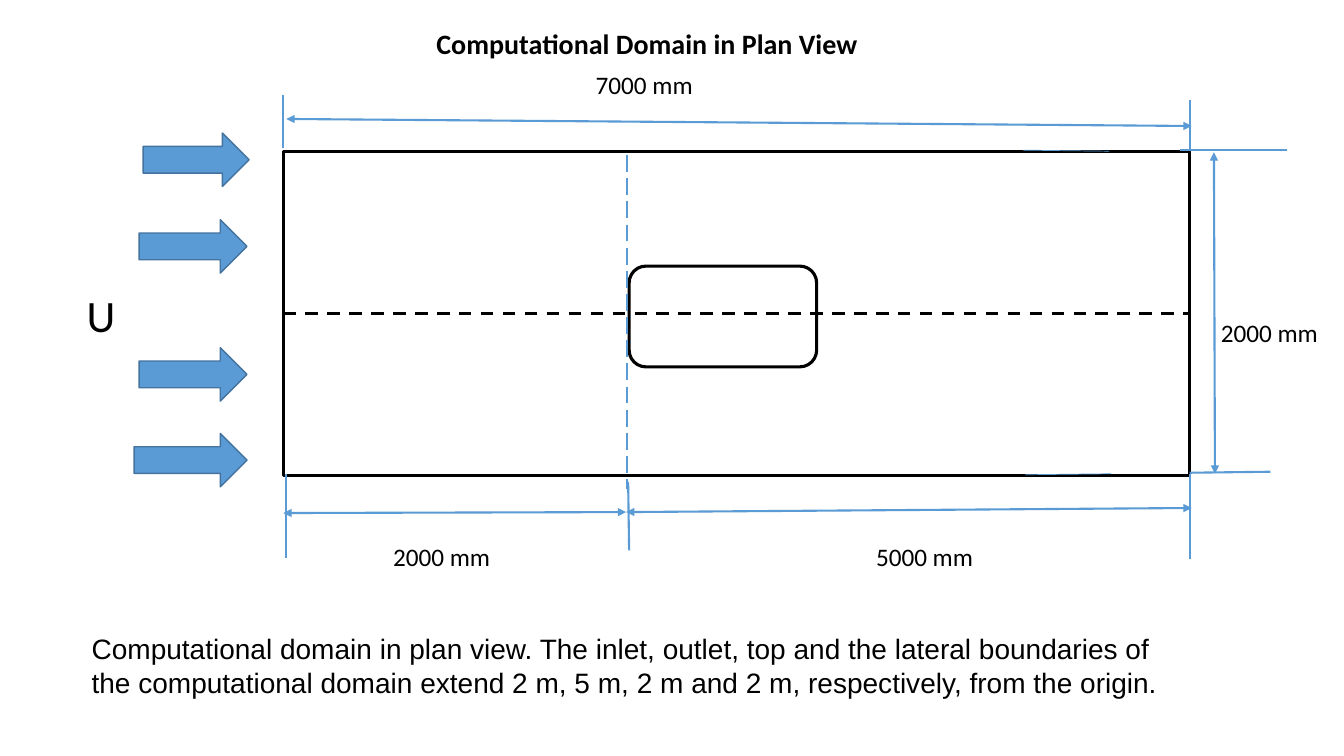
from lxml.etree import SubElement
from pptx import Presentation
from pptx.dml.color import RGBColor
from pptx.enum.dml import MSO_LINE_DASH_STYLE as Dash
from pptx.enum.shapes import MSO_CONNECTOR as Connector, MSO_SHAPE as Preset
from pptx.oxml.ns import qn
from pptx.util import Inches, Pt

COLORS = {"ink": "000000", "paper": "FFFFFF", "blue": "5B9BD5", "edge": "43739E"}

FLOW_ARROWS = [(1.42, 1.32, 1.05), (1.38, 2.18, 1.07), (1.38, 3.45, 1.07), (1.33, 4.3, 1.12)]
DIMENSIONS = [
    (2.81, 5.09, 6.21, 5.08),
    (6.21, 5.08, 11.82, 5.04),
    (12.04, 1.51, 12.05, 4.7),
    (2.84, 1.18, 11.82, 1.25),
]
EXTENSIONS = [
    (2.84, 4.7, 2.84, 5.54),
    (11.8, 4.7, 11.8, 5.55),
    (6.23, 4.78, 6.24, 5.46),
    (2.81, 1.47, 2.81, 0.94),
    (11.8, 1.5, 11.8, 0.99),
    (11.7, 1.49, 12.76, 1.49),
    (11.8, 4.69, 12.6, 4.68),
]
WALL_MARKS = [(10.15, 1.49, 11, 1.5), (10.17, 4.71, 11.02, 4.7)]
LABELS = [
    ("2000 mm", 3.8, 5.32, 1.19),
    ("5000 mm", 8.59, 5.32, 1.19),
    ("2000 mm", 12.01, 3.1, 1.19),
    ("7000 mm", 5.81, 0.64, 1.91),
]
CAPTION = (
    "Computational domain in plan view. The inlet, outlet, top and the lateral boundaries of "
    "the computational domain extend 2 m, 5 m, 2 m and 2 m, respectively, from the origin."
)


def color(name):
    return RGBColor.from_string(COLORS[name])


def add_outline(page, preset, left, top, width, height, fill, line, weight):
    shape = page.shapes.add_shape(preset, Inches(left), Inches(top), Inches(width), Inches(height))
    shape.shadow.inherit = False
    if fill:
        shape.fill.solid()
        shape.fill.fore_color.rgb = color(fill)
    else:
        shape.fill.background()
    shape.line.color.rgb = color(line)
    shape.line.width = Pt(weight)
    return shape


def add_line(page, ends, line="blue", weight=1.5, dash=None, arrows=False):
    connector = page.shapes.add_connector(Connector.STRAIGHT, *[Inches(end) for end in ends])
    connector.line.color.rgb = color(line)
    connector.line.width = Pt(weight)
    if dash:
        connector.line.dash_style = dash
    properties = connector._element.spPr
    if arrows:
        for tag in ("a:headEnd", "a:tailEnd"):
            SubElement(properties.find(qn("a:ln")), qn(tag), type="triangle")
    SubElement(properties, qn("a:effectLst"))
    return connector


def add_text(page, text, left, top, width, height=0.4, size=18, font="Calibri", bold=False, wrap=True):
    box = page.shapes.add_textbox(Inches(left), Inches(top), Inches(width), Inches(height))
    box.text_frame.word_wrap = wrap
    span = box.text_frame.paragraphs[0].add_run()
    span.text = text
    span.font.name = font
    span.font.size = Pt(size)
    span.font.bold = bold
    span.font.color.rgb = color("ink")


def add_domain(page):
    domain = add_outline(page, Preset.RECTANGLE, 2.81, 1.5, 8.99, 3.22, None, "ink", 2.25)
    add_outline(page, Preset.ROUNDED_RECTANGLE, 6.24, 2.64, 1.86, 1, "paper", "ink", 2.25)
    centerline = add_line(page, (2.81, 3.11, 11.8, 3.11), "ink", 2.25, Dash.DASH)
    centerline.begin_connect(domain, 1)
    centerline.end_connect(domain, 3)
    add_line(page, (6.22, 1.54, 6.22, 4.85), dash=Dash.LONG_DASH)


def main():
    deck = Presentation()
    deck.slide_width = Inches(13.33)
    deck.slide_height = Inches(7.5)
    page = deck.slides.add_slide(deck.slide_layouts[6])

    add_domain(page)
    for left, top, width in FLOW_ARROWS:
        add_outline(page, Preset.RIGHT_ARROW, left, top, width, 0.53, "blue", "edge", 1)
    for ends in DIMENSIONS:
        add_line(page, ends, arrows=True)
    for ends in EXTENSIONS:
        add_line(page, ends)
    for ends in WALL_MARKS:
        add_line(page, ends, weight=0.5)

    for label in LABELS:
        add_text(page, *label)
    add_text(page, "U", 0.76, 2.81, 0.49, 0.64, size=32, wrap=False)
    add_text(page, "Computational Domain in Plan View", 4.23, 0.21, 4.41, 0.44, size=20, bold=True, wrap=False)
    add_text(page, CAPTION, 0.81, 6.22, 10.99, 0.77, size=20, font="Arial")

    deck.save("out.pptx")


if __name__ == "__main__":
    main()
